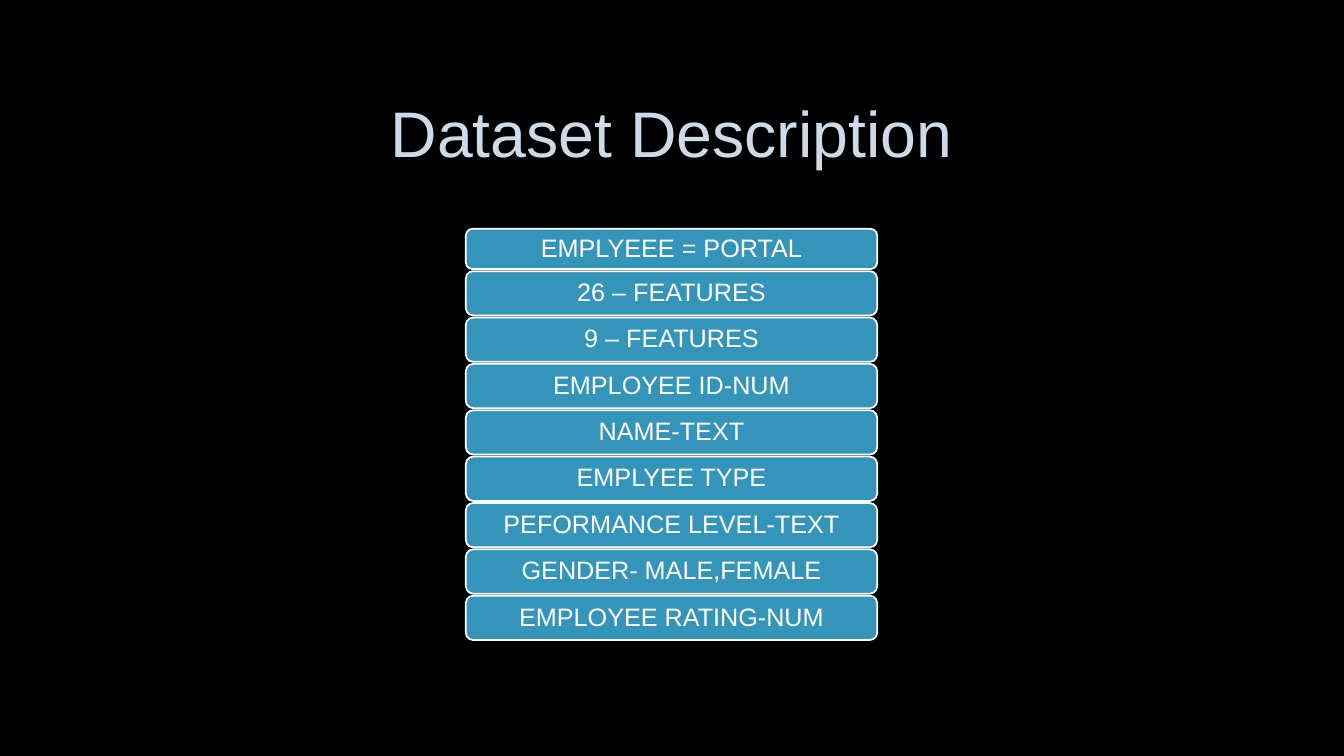
from dataclasses import dataclass

from pptx import Presentation
from pptx import util as u
from pptx.dml.color import RGBColor
from pptx.enum import shapes, text


@dataclass(frozen=True)
class Theme:
    font: str = "Arial"
    back: str = "000000"
    title: str = "CEDBE6"
    bar: str = "3494BA"
    light: str = "FFFFFF"
    title_size: int = 46
    bar_size: int = 18
    line: float = 1.25


THEME = Theme()
SOURCE = "EMPLYEEE = PORTAL"
FIELDS = [
    "26 – FEATURES",
    "9 – FEATURES",
    "EMPLOYEE ID-NUM",
    "NAME-TEXT",
    "EMPLYEE TYPE",
    "PEFORMANCE LEVEL-TEXT",
    "GENDER- MALE,FEMALE",
    "EMPLOYEE RATING-NUM",
]
LEFT, WIDTH = 4.62, 4.08
FIRST_TOP, FIRST_HEIGHT = 2.27, 0.4
TOP, HEIGHT, PITCH = 2.69, 0.44, 0.46


def rgb(code):
    return RGBColor.from_string(code)


def write(frame, words, size, color):
    """Put one centred line of text in a frame."""
    frame.text = words
    frame.word_wrap = True
    frame.vertical_anchor = text.MSO_ANCHOR.MIDDLE
    para = frame.paragraphs[0]
    para.alignment = text.PP_ALIGN.CENTER
    para.line_spacing = 0.9
    font = para.runs[0].font
    font.name = THEME.font
    font.size = u.Pt(size)
    font.color.rgb = rgb(color)


def set_title(slide, words):
    title = slide.shapes.title
    title.left, title.top = u.Inches(1), u.Inches(0.67)
    title.width, title.height = u.Inches(11.32), u.Inches(1.38)
    write(title.text_frame, words, THEME.title_size, THEME.title)


def add_bar(slide, words, top, height):
    bar = slide.shapes.add_shape(
        shapes.MSO_SHAPE.ROUNDED_RECTANGLE,
        u.Inches(LEFT), u.Inches(top), u.Inches(WIDTH), u.Inches(height))
    bar.shadow.inherit = False
    bar.fill.solid()
    bar.fill.fore_color.rgb = rgb(THEME.bar)
    bar.line.color.rgb = rgb(THEME.light)
    bar.line.width = u.Pt(THEME.line)
    frame = bar.text_frame
    frame.margin_left = frame.margin_right = u.Inches(0.07)
    frame.margin_top = frame.margin_bottom = u.Inches(0.04)
    write(frame, words, THEME.bar_size, THEME.light)


def main():
    deck = Presentation()
    deck.slide_width, deck.slide_height = u.Inches(13.33), u.Inches(7.5)
    slide = deck.slides.add_slide(deck.slide_layouts.get_by_name("Title Only"))
    slide.background.fill.solid()
    slide.background.fill.fore_color.rgb = rgb(THEME.back)
    set_title(slide, "Dataset Description")
    add_bar(slide, SOURCE, FIRST_TOP, FIRST_HEIGHT)
    for row, words in enumerate(FIELDS):
        add_bar(slide, words, TOP + row * PITCH, HEIGHT)
    deck.save("out.pptx")


if __name__ == "__main__":
    main()
